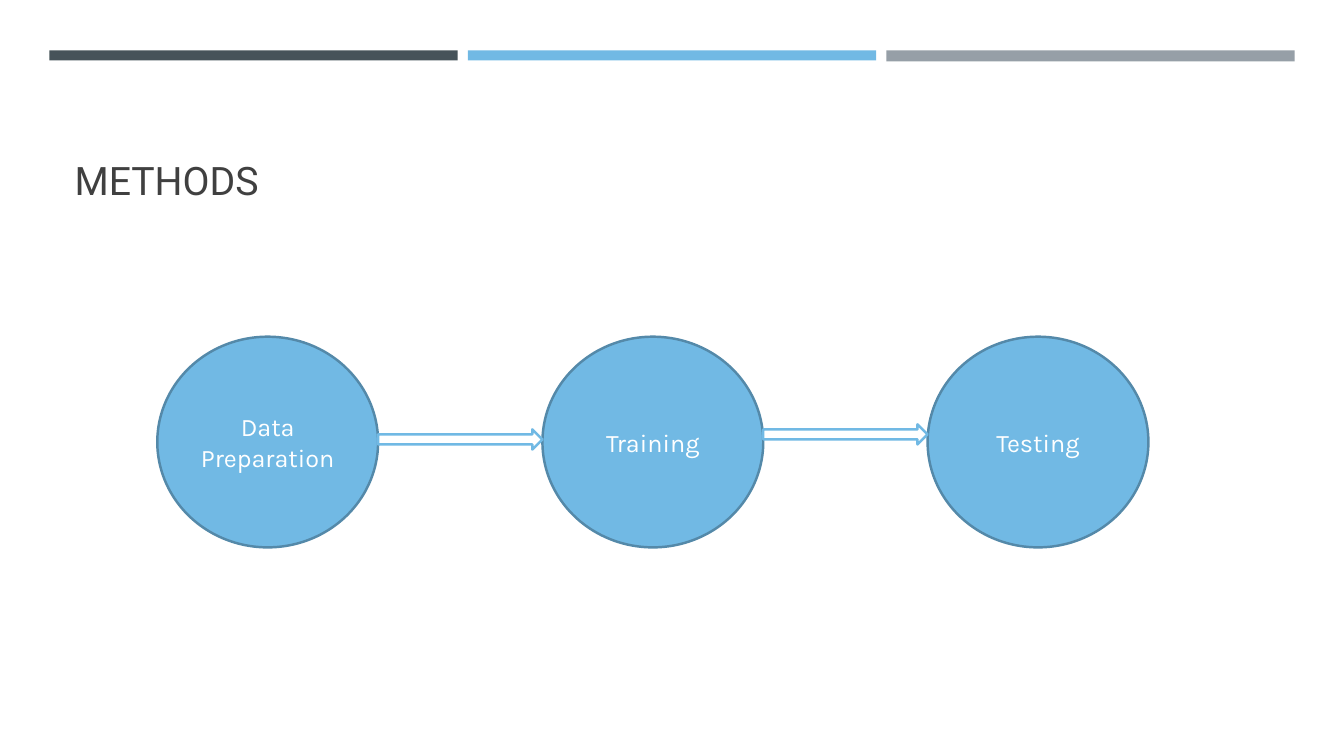
from dataclasses import dataclass

from pptx import Presentation
from pptx.dml.color import RGBColor
from pptx.enum.shapes import MSO_SHAPE
from pptx.enum.text import MSO_ANCHOR, PP_ALIGN
from pptx.shapes.autoshape import Shape
from pptx.slide import Slide
from pptx.text.text import TextFrame
from pptx.util import Pt

EMU_PER_PX = 9144  # 100 px to the inch
RECTANGLE = MSO_SHAPE.RECTANGLE
OVAL = MSO_SHAPE.OVAL
RIGHT_ARROW = MSO_SHAPE.RIGHT_ARROW
MIDDLE = MSO_ANCHOR.MIDDLE
BOTTOM = MSO_ANCHOR.BOTTOM
LEFT = PP_ALIGN.LEFT
CENTER = PP_ALIGN.CENTER
TITLE_ONLY_LAYOUT = 5

BLUE = "71B9E4"
DARK_BLUE = "5489A9"
WHITE = "FFFFFF"
TITLE_GRAY = "404040"

BAR_LEFT, BAR_TOP, BAR_WIDTH, BAR_STEP = 49, 50, 405, 415
STEP_LEFT, STEP_TOP, STEP_WIDTH, STEP_HEIGHT = 156, 334, 219, 209
STEP_PITCH = 382
ARROW_HEIGHT = 20
STEP_NAMES = ["Data Preparation", "Training", "Testing"]
ARROW_TOPS = [426, 421]


@dataclass(frozen=True)
class Box:
    left: int
    top: int
    width: int
    height: int

    def emu(self) -> tuple[int, int, int, int]:
        return (px(self.left), px(self.top), px(self.width), px(self.height))


@dataclass(frozen=True)
class Bar:
    color: str
    height: int


BARS = [Bar("465359", 10), Bar(BLUE, 10), Bar("969FA7", 11)]


def px(length: int) -> int:
    return length * EMU_PER_PX


def rgb(color: str) -> RGBColor:
    return RGBColor.from_string(color)


def add_block(slide: Slide, kind: MSO_SHAPE, box: Box, fill: str,
              line: str | None = None) -> Shape:
    shape = slide.shapes.add_shape(kind, *box.emu())
    shape.shadow.inherit = False
    shape.fill.solid()
    shape.fill.fore_color.rgb = rgb(fill)
    if line is None:
        shape.line.fill.background()
    else:
        shape.line.color.rgb = rgb(line)
        shape.line.width = Pt(1.75)
    return shape


def write(frame: TextFrame, text: str, font_name: str, size: int, color: str,
          alignment: PP_ALIGN, anchor: MSO_ANCHOR) -> None:
    frame.text = text
    frame.word_wrap = True
    frame.vertical_anchor = anchor
    paragraph = frame.paragraphs[0]
    paragraph.alignment = alignment
    font = paragraph.runs[0].font
    font.name = font_name
    font.size = Pt(size)
    font.color.rgb = rgb(color)


def add_bars(slide: Slide) -> None:
    for index, bar in enumerate(BARS):
        box = Box(BAR_LEFT + index * BAR_STEP, BAR_TOP, BAR_WIDTH, bar.height)
        add_block(slide, RECTANGLE, box, bar.color)


def add_title(slide: Slide) -> None:
    title = slide.shapes.title
    title.left, title.top, title.width, title.height = Box(64, 77, 1206, 130).emu()
    write(title.text_frame, "METHODS", "Roboto", 28, TITLE_GRAY, LEFT, BOTTOM)


def add_steps(slide: Slide) -> None:
    for index, name in enumerate(STEP_NAMES):
        box = Box(STEP_LEFT + index * STEP_PITCH, STEP_TOP, STEP_WIDTH, STEP_HEIGHT)
        circle = add_block(slide, OVAL, box, BLUE, DARK_BLUE)
        write(circle.text_frame, name, "Karla", 18, WHITE, CENTER, MIDDLE)


def add_arrows(slide: Slide) -> None:
    for index, top in enumerate(ARROW_TOPS):
        left = STEP_LEFT + STEP_WIDTH + index * STEP_PITCH
        box = Box(left, top, STEP_PITCH - STEP_WIDTH, ARROW_HEIGHT)
        add_block(slide, RIGHT_ARROW, box, WHITE, BLUE)


def main() -> None:
    presentation = Presentation()
    presentation.slide_width = px(1333)
    presentation.slide_height = px(750)
    layout = presentation.slide_layouts[TITLE_ONLY_LAYOUT]
    slide = presentation.slides.add_slide(layout)
    add_bars(slide)
    add_title(slide)
    add_steps(slide)
    add_arrows(slide)
    presentation.save("out.pptx")


if __name__ == "__main__":
    main()
